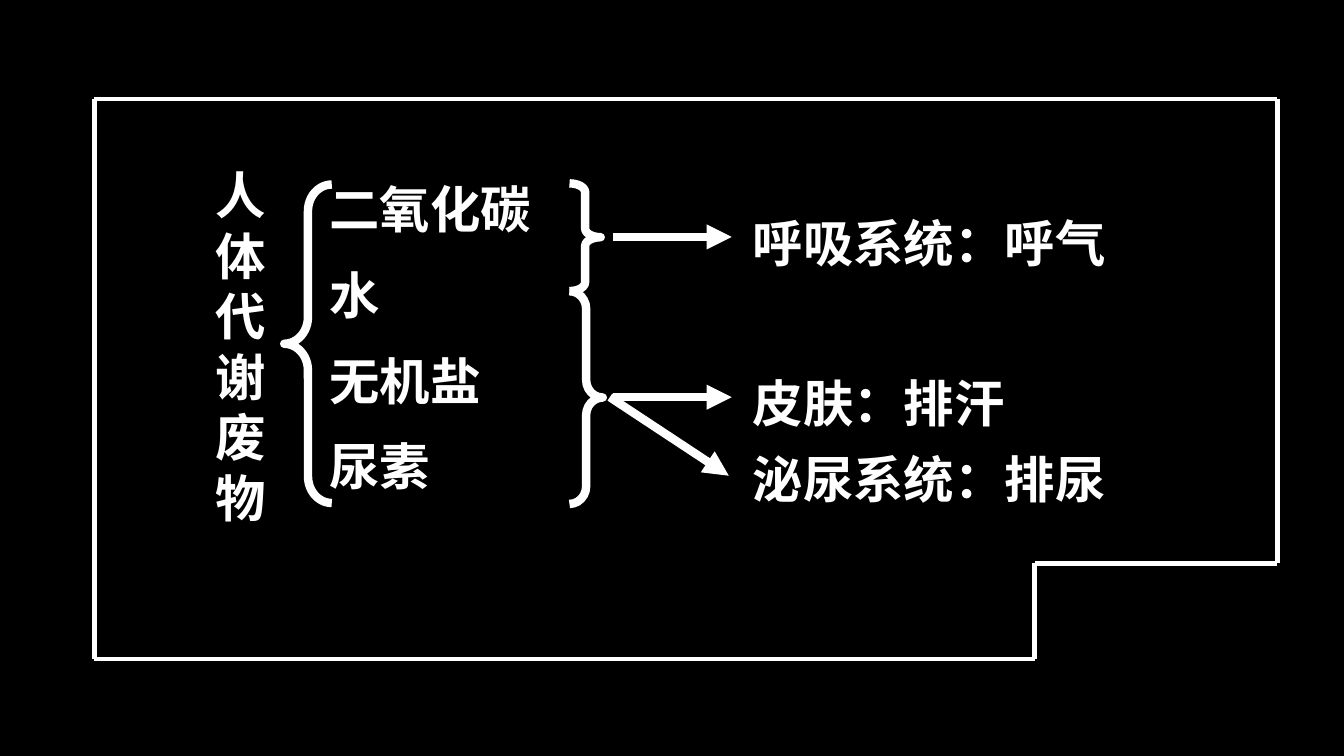
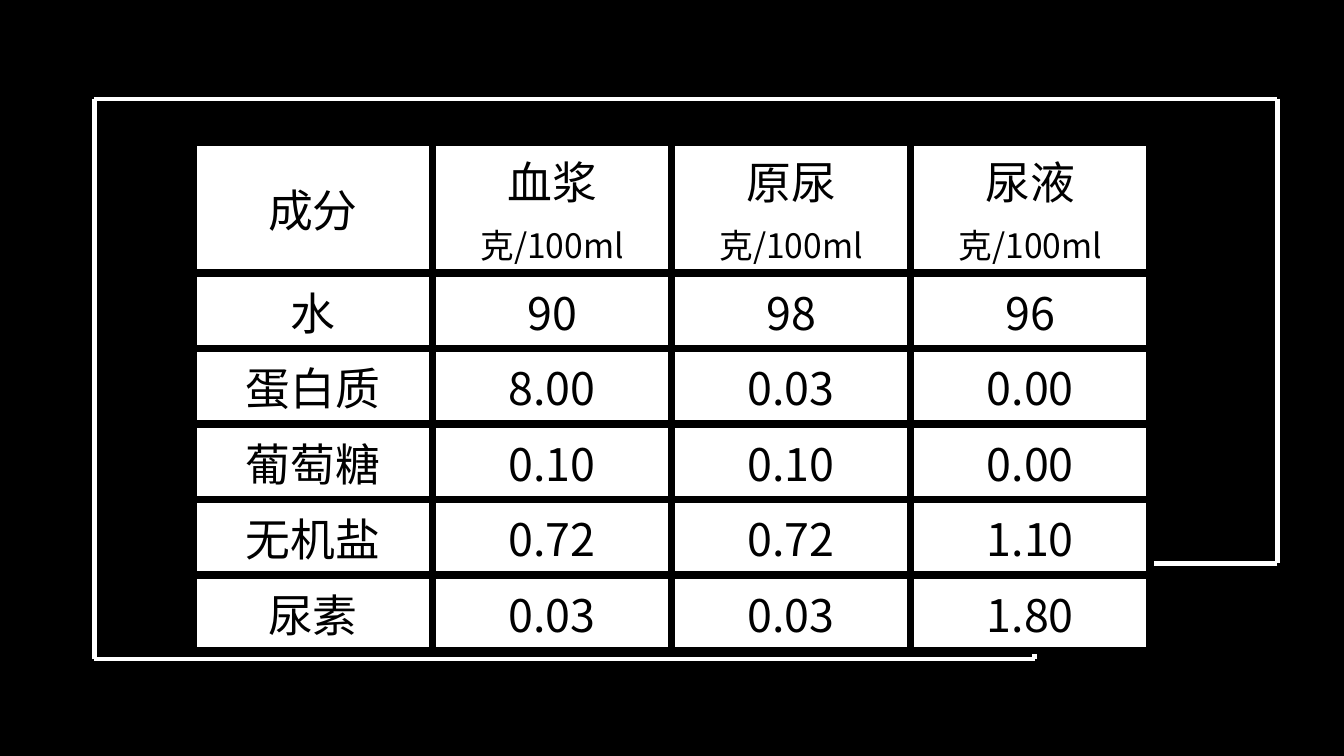
from itertools import pairwise

from lxml import etree
from pptx import Presentation
from pptx.dml.color import RGBColor
from pptx.enum import shapes, text
from pptx.oxml import ns
from pptx.util import Pt

WHITE, BLACK = "FFFFFF", "000000"
FONT = "Noto Sans CJK SC"


def color(value):
    return RGBColor.from_string(value)


def add_element(parent, tag, **attributes):
    return etree.SubElement(parent, ns.qn(tag), attributes)


def write(frame, lines, sizes=(36,), fill=WHITE, bold=False, align=None,
          before=0, spacing=None):
    for index, line in enumerate(lines):
        para = frame.paragraphs[0] if index == 0 else frame.add_paragraph()
        para.alignment = align
        para.space_before = Pt(before if index else 0)
        if spacing:
            para.line_spacing = Pt(spacing)
        span = para.add_run()
        span.text = line
        span.font.size = Pt(sizes[min(index, len(sizes) - 1)])
        span.font.bold = bold
        span.font.name = FONT
        span.font.color.rgb = color(fill)
        add_element(span.font._element, "a:ea", typeface=FONT)


class Board:
    def __init__(self):
        self.deck = Presentation()
        self.deck.slide_width, self.deck.slide_height = Pt(960), Pt(540)
        background = self.deck.slide_master.background.fill
        background.solid()
        background.fore_color.rgb = color(BLACK)
        self.layout = self.deck.slide_layouts[6]
        self.add_page()

    def add_page(self):
        self.page = self.deck.slides.add_slide(self.layout)

    def line(self, start, end, width=6, arrow=True):
        connector = self.page.shapes.add_connector(
            shapes.MSO_CONNECTOR.STRAIGHT, *map(Pt, start + end))
        connector.line.color.rgb = color(WHITE)
        connector.line.width = Pt(width)
        properties = connector._element.spPr
        if arrow:
            add_element(properties.find(ns.qn("a:ln")), "a:tailEnd", type="triangle")
        add_element(properties, "a:effectLst")
        return connector

    def shared_frame(self, corners):
        for start, end in pairwise(corners + corners[:1]):
            edge = self.line(start, end, width=3, arrow=False)
            self.layout.shapes._spTree.append(edge._element)

    def label(self, left, top, width, height, *lines):
        box = self.page.shapes.add_textbox(*map(Pt, (left, top, width, height)))
        box.text_frame.word_wrap = True
        write(box.text_frame, lines, bold=True, before=18, spacing=43.2)

    def brace(self, kind, left, top, width, height, curve):
        shape = self.page.shapes.add_shape(kind, *map(Pt, (left, top, width, height)))
        shape.adjustments[0] = curve
        shape.fill.background()
        shape.line.color.rgb = color(WHITE)
        shape.line.width = Pt(6)
        shape.shadow.inherit = False

    def table(self, left, top, column, heights, rows):
        count = len(rows[0])
        table = self.page.shapes.add_table(
            len(rows), count, Pt(left), Pt(top),
            Pt(column * count), Pt(sum(heights))).table
        table.first_row = table.horz_banding = False
        for grid_column in table.columns:
            grid_column.width = Pt(column)
        for row, height, values in zip(table.rows, heights, rows):
            row.height = Pt(height)
            for cell, value in zip(row.cells, values):
                self.cell(cell, value)

    def cell(self, cell, value):
        cell.vertical_anchor = text.MSO_ANCHOR.MIDDLE
        properties = cell._tc.get_or_add_tcPr()
        for side in "LRTB":
            border = add_element(properties, f"a:ln{side}", w=str(Pt(6)))
            fill = add_element(border, "a:solidFill")
            add_element(fill, "a:srgbClr", val=BLACK)
        cell.fill.solid()
        cell.fill.fore_color.rgb = color(WHITE)
        write(cell.text_frame, value.split("\n"), sizes=(32, 24), fill=BLACK,
              align=text.PP_ALIGN.CENTER, before=4.8)


def main():
    board = Board()
    board.shared_frame([(67.5, 70.5), (912.5, 70.5), (912.5, 402.5),
                        (739, 402.5), (739, 471), (67.5, 471)])

    left_brace = shapes.MSO_SHAPE.LEFT_BRACE
    right_brace = shapes.MSO_SHAPE.RIGHT_BRACE
    board.label(147, 114, 57, 269, "人体代谢废物")
    board.label(228.2, 124, 182, 247, "二氧化碳", "水", "无机盐", "尿素")
    board.brace(left_brace, 203, 131.8, 34, 227.5, 0.56)
    board.brace(right_brace, 406.8, 131, 22.3, 77, 0.28)
    board.brace(right_brace, 406.8, 208, 23.8, 152, 0.53)
    for top, outlet in ((148, "呼吸系统：呼气"), (262.5, "皮肤：排汗"),
                        (316.5, "泌尿系统：排尿")):
        board.label(530.6, top, 274, 50.4, outlet)
    for start, end in (((437.8, 169.2), (522.7, 169.2)),
                       ((437.8, 283.7), (522.7, 283.7)),
                       ((435.6, 283.7), (520.6, 339.8))):
        board.line(start, end)

    board.add_page()
    unit = "克/100ml"
    board.table(138.2, 101.5, 170.8, [93.6] + [53.9] * 5, [
        ["成分"] + [f"{fluid}\n{unit}" for fluid in ("血浆", "原尿", "尿液")],
        ["水", "90", "98", "96"],
        ["蛋白质", "8.00", "0.03", "0.00"],
        ["葡萄糖", "0.10", "0.10", "0.00"],
        ["无机盐", "0.72", "0.72", "1.10"],
        ["尿素", "0.03", "0.03", "1.80"],
    ])
    board.deck.save("out.pptx")


if __name__ == "__main__":
    main()
